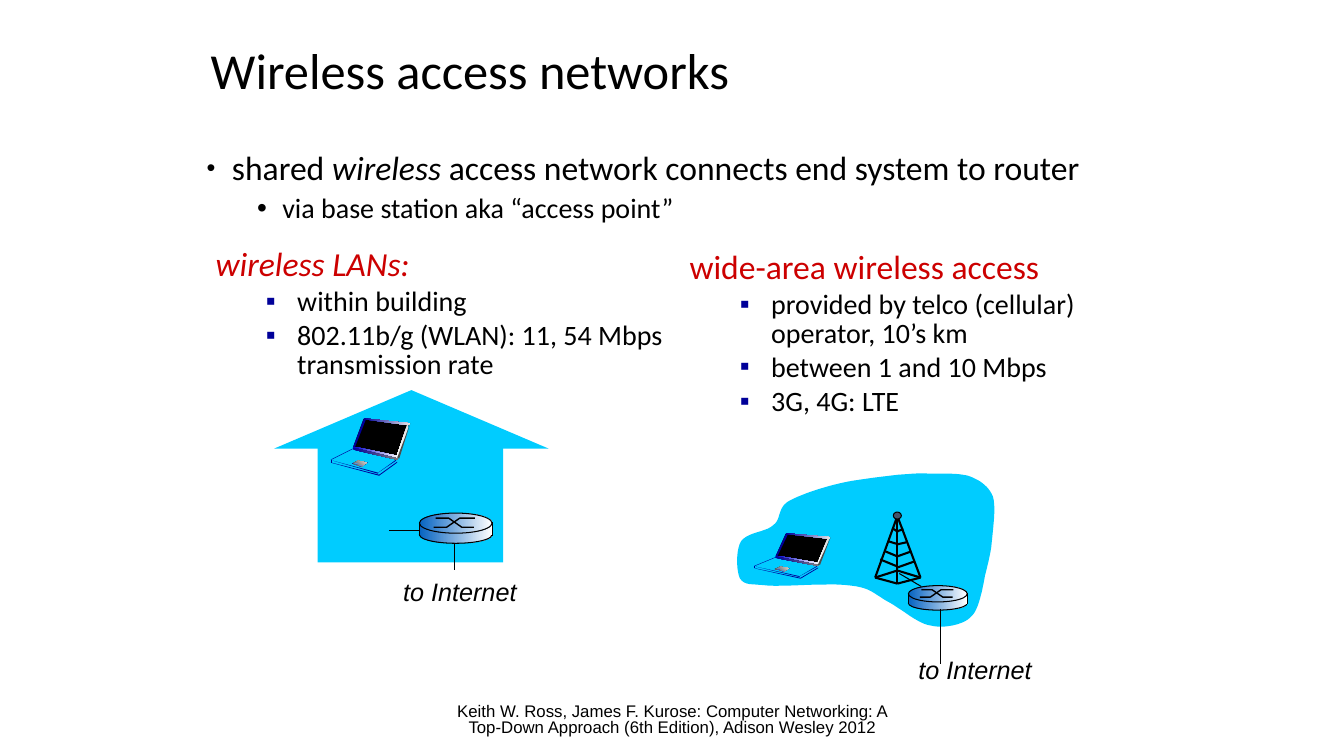
"""Build the slide on wireless access networks."""
from dataclasses import dataclass

from lxml.etree import SubElement
from pptx import Presentation
from pptx.dml.color import RGBColor
from pptx.enum.shapes import MSO_CONNECTOR as Connector, MSO_SHAPE as Preset
from pptx.enum.text import MSO_ANCHOR as Anchor, MSO_AUTO_SIZE as AutoSize, PP_ALIGN as Align
from pptx.oxml.ns import qn
from pptx.util import Emu, Pt

PX = 9144


@dataclass(frozen=True)
class Theme:
    """Colours, fonts and type sizes of the slide."""
    black: str = "000000"
    red: str = "CC0000"
    navy: str = "000099"
    sky: str = "00CCFF"
    key: str = "5B9BD5"
    edge: str = "4D4D4D"
    beacon: str = "44546A"
    metal: tuple = ("0563C1", "FFFFFF", 0)
    lid: tuple = ("000099", "EAEAEA", 0)
    frame: tuple = ("DDDDDD", "FFFFFF", 270)
    sill: tuple = ("0000CC", "FFFFFF", 0)
    hinge: tuple = ("000099", "808080", 0)
    pad: tuple = ("4D4D4D", "DDDDDD", 45)
    body_font: str = "Calibri"
    label_font: str = "Arial"
    title: int = 36
    heading: int = 24
    item: int = 20
    label: int = 18
    source: int = 12


THEME = Theme()


def write(paragraph, text, *, size, color=THEME.black, font=THEME.body_font, italic=False):
    """Add one formatted run to a paragraph."""
    run = paragraph.add_run()
    run.text = text
    run.font.size = Pt(size)
    run.font.name = font
    run.font.italic = italic
    run.font.bold = False
    run.font.color.rgb = RGBColor.from_string(color)


def space(paragraph, line, before=0, align=Align.LEFT):
    """Set the spacing and alignment of a paragraph."""
    paragraph.line_spacing = line
    paragraph.space_before = Pt(before)
    paragraph.alignment = align


def bullet(paragraph, char, left, hang, color=THEME.black, percent=100):
    """Give a paragraph a bullet with a hanging indent."""
    properties = paragraph._p.get_or_add_pPr()
    properties.set("marL", str(left * PX))
    properties.set("indent", str(-hang * PX))
    SubElement(SubElement(properties, qn("a:buClr")), qn("a:srgbClr"), val=color)
    SubElement(properties, qn("a:buSzPct"), val=str(percent * 1000))
    SubElement(properties, qn("a:buFont"), typeface=THEME.label_font)
    SubElement(properties, qn("a:buChar"), char=char)


def bezier(start, segments, steps=10):
    """Return points along a chain of cubic curves, in tenths of a px."""
    points = [start]
    for first, second, end in segments:
        for step in range(1, steps + 1):
            t = step / steps
            weights = ((1 - t) ** 3, 3 * t * (1 - t) ** 2, 3 * t * t * (1 - t), t ** 3)
            corners = (start, first, second, end)
            points.append(tuple(sum(w * c[axis] for w, c in zip(weights, corners)) for axis in (0, 1)))
        start = end
    return [(x * 10, y * 10) for x, y in points]


class Canvas:
    """Draw styled elements on one slide."""

    def __init__(self, slide, theme):
        self.slide, self.theme = slide, theme

    def place(self, shape, left, top, width, height, anchor=Anchor.TOP):
        """Move a text shape and reset its frame."""
        shape.left, shape.top, shape.width, shape.height = (
            Emu(n * PX) for n in (left, top, width, height))
        frame = shape.text_frame
        frame.word_wrap = True
        frame.auto_size = AutoSize.NONE
        frame.vertical_anchor = anchor
        return frame

    def text_box(self, *box, anchor=Anchor.TOP):
        """Add a wrapping text box and return its frame."""
        return self.place(self.slide.shapes.add_textbox(0, 0, 0, 0), *box, anchor)

    def paint(self, shape, fill, line):
        """Set the fill and outline of a shape."""
        shape.shadow.inherit = False
        if fill is None:
            shape.fill.background()
        elif isinstance(fill, tuple):
            shape.fill.gradient()
            shape.fill.gradient_angle = fill[2]
            for stop, color in zip(shape.fill.gradient_stops, fill):
                stop.color.rgb = RGBColor.from_string(color)
        else:
            shape.fill.solid()
            shape.fill.fore_color.rgb = RGBColor.from_string(fill)
        if line:
            shape.line.width = Pt(line)
            shape.line.color.rgb = RGBColor.from_string(self.theme.black)
        else:
            shape.line.fill.background()

    def preset(self, kind, *box, fill, line=0):
        """Add a preset shape."""
        self.paint(self.slide.shapes.add_shape(kind, *(Emu(round(n * PX)) for n in box)), fill, line)

    def outline(self, points, fill=None, line=0, origin=(0, 0), scale=(1, 1), close=True):
        """Add a freeform through the given points."""
        builder = self.slide.shapes.build_freeform(*points[0], scale=tuple(n * PX for n in scale))
        builder.add_line_segments(points[1:], close=close)
        self.paint(builder.convert_to_shape(*(n * PX for n in origin)), fill, line)

    def line(self, x1, y1, x2, y2, width=0.75):
        """Add a straight black line."""
        ends = (Emu(round(n * PX)) for n in (x1, y1, x2, y2))
        connector = self.slide.shapes.add_connector(Connector.STRAIGHT, *ends)
        connector.line.width = Pt(width)
        connector.line.color.rgb = RGBColor.from_string(self.theme.black)
        SubElement(connector._element.spPr, qn("a:effectLst"))

    def topic(self, box, heading, items, italic=False):
        """Add a red heading with a bulleted list."""
        frame = self.text_box(*box)
        paragraph = frame.paragraphs[0]
        space(paragraph, 0.85)
        write(paragraph, heading, size=self.theme.heading, color=self.theme.red, italic=italic)
        for item in items:
            paragraph = frame.add_paragraph()
            paragraph.level = 1
            space(paragraph, 0.85, 4)
            bullet(paragraph, "▪", 81, 31, self.theme.navy)
            write(paragraph, item, size=self.theme.item)

    def label(self, left, top):
        """Add an uplink label."""
        frame = self.text_box(left, top, 133, 40)
        frame.word_wrap = False
        write(frame.paragraphs[0], "to Internet", size=self.theme.label,
              font=self.theme.label_font, italic=True)

    def router(self, left, top, scale):
        """Draw a router with crossed arrows on its lid."""
        for kind, y, height, line in ((Preset.OVAL, 13, 17, 0.75), (Preset.RECTANGLE, 11, 11, 0),
                                      (Preset.OVAL, 0, 20, 0.75)):
            self.preset(kind, left, top + y * scale, 72 * scale, height * scale,
                        fill=self.theme.metal, line=line)
        for track in ([(14, 14), (27, 14), (40, 5), (55, 5)], [(16, 5), (29, 5), (42, 14), (54, 14)]):
            self.outline(track, line=1, origin=(left, top), scale=(scale, scale), close=False)
        for x in (left, left + 72 * scale):
            self.line(x, top + 9 * scale, x, top + 23 * scale)

    def laptop(self, left, top, scale):
        """Draw an open laptop from its panels."""
        theme = self.theme
        self.outline([(33, 1), (23, 28), (66, 39), (77, 6)], theme.black, 0.75, (left, top), scale)
        panels = (
            (theme.lid, [(33, 0), (79, 5), (78, 7), (33, 1)]),
            (theme.navy, [(33, 0), (22, 29), (24, 29), (35, 1)]),
            (theme.frame, [(78, 5), (67, 39), (65, 39), (76, 6)]),
            (theme.sill, [(23, 28), (22, 29), (67, 39), (65, 37)]),
            (theme.edge, [(79, 5), (68, 40), (66, 39)]),
            (theme.hinge, [(22, 29), (22, 31), (66, 41), (67, 40)]),
            (theme.navy, [(27, 42), (37, 44), (31, 48), (21, 45)]),
            (theme.pad, [(27, 42), (36, 44), (31, 48), (22, 45)]),
            (theme.key, [(23, 45), (24, 44), (28, 45), (26, 46)]),
            (theme.navy, [(23, 45), (27, 46), (26, 46)]),
            (theme.key, [(27, 46), (29, 46), (32, 47), (31, 48)]),
            (theme.navy, [(27, 47), (31, 48), (30, 48)]),
            (theme.navy, [(48, 56), (66, 43), (66, 44), (48, 57)]),
            (theme.navy, [(0, 44), (1, 44), (48, 56), (48, 57)]),
            (theme.navy, [(1, 41), (1, 44), (0, 44), (0, 41)]),
            (theme.navy, [(22, 30), (0, 41), (1, 41), (23, 30)]),
            (theme.navy, [(2, 42), (47, 54), (47, 55)]),
            (theme.navy, [(47, 54), (65, 42), (65, 41)]),
        )
        for fill, points in panels:
            self.outline(points, fill, origin=(left, top), scale=scale)

    def tower(self):
        """Draw the lattice mast with its beacon."""
        for strut in ((890, 512, 868, 573), (890, 512, 913, 573), (868, 573, 890, 579),
                      (913, 573, 890, 579), (890, 514, 890, 579), (868, 573, 890, 566),
                      (913, 573, 890, 566), (878, 547, 890, 552), (890, 552, 904, 547),
                      (873, 555, 890, 562), (890, 563, 907, 557), (890, 540, 899, 538),
                      (890, 527, 896, 525), (881, 537, 891, 540), (885, 524, 891, 528)):
            self.line(*strut, width=1.5)
        self.preset(Preset.OVAL, 886, 508, 8, 7, fill=self.theme.beacon, line=0.75)


def main():
    """Compose and save the slide."""
    presentation = Presentation()
    presentation.slide_width, presentation.slide_height = Emu(1333 * PX), Emu(750 * PX)
    slide = presentation.slides.add_slide(presentation.slide_layouts[1])
    canvas = Canvas(slide, THEME)

    source = canvas.text_box(442, 695, 450, 40, anchor=Anchor.MIDDLE).paragraphs[0]
    space(source, 0.8, align=Align.CENTER)
    write(source, "Keith W. Ross, James F. Kurose: Computer Networking: A Top-Down Approach "
          "(6th Edition), Adison Wesley 2012", size=THEME.source, font=THEME.label_font)
    title = canvas.place(slide.shapes.title, 199, 19, 917, 108, Anchor.MIDDLE).paragraphs[0]
    space(title, 0.9)
    write(title, "Wireless access networks", size=THEME.title)

    body = canvas.place(slide.placeholders[1], 195, 145, 915, 95)
    lead = body.paragraphs[0]
    space(lead, 0.9)
    bullet(lead, "•", 25, 25, percent=75)
    for text, italic in (("shared ", False), ("wireless", True),
                         (" access network connects end system to router", False)):
        write(lead, text, size=THEME.heading, italic=italic)
    detail = body.add_paragraph()
    detail.level = 1
    space(detail, 0.9, 5)
    bullet(detail, "•", 75, 25)
    write(detail, "via base station aka “access point”", size=THEME.item)

    canvas.topic((204, 242, 466, 150), "wireless LANs:",
                 ("within building", "802.11b/g (WLAN): 11, 54 Mbps transmission rate"), italic=True)
    canvas.topic((674, 245, 505, 241), "wide-area wireless access",
                 ("provided by telco (cellular) operator, 10’s km", "between 1 and 10 Mbps",
                  "3G, 4G: LTE"))

    canvas.preset(Preset.RECTANGLE, 315, 435, 184, 123, fill=THEME.sky)
    canvas.preset(Preset.ISOSCELES_TRIANGLE, 272, 387, 272, 58, fill=THEME.sky)
    canvas.line(451, 540, 451, 565)
    canvas.line(386, 526, 417, 526)
    canvas.router(416, 509, 1)
    canvas.laptop(328, 415, (1, 1))

    cloud = bezier((891, 471), (
        ((875, 473), (845, 476), (827, 481)), ((808, 486), (791, 492), (781, 498)),
        ((771, 505), (775, 515), (767, 521)), ((760, 528), (741, 528), (735, 537)),
        ((730, 545), (730, 566), (734, 574)), ((739, 581), (744, 579), (762, 581)),
        ((781, 582), (824, 578), (844, 581)), ((863, 583), (867, 589), (879, 596)),
        ((891, 602), (906, 615), (917, 619)), ((929, 623), (939, 622), (947, 620)),
        ((955, 618), (962, 615), (967, 607)), ((972, 598), (975, 582), (977, 571)),
        ((980, 559), (983, 548), (984, 535)), ((985, 523), (988, 504), (985, 493)),
        ((981, 483), (973, 477), (963, 473)), ((953, 469), (935, 470), (923, 470)),
        ((911, 469), (907, 470), (891, 471))))
    canvas.outline(cloud, THEME.sky, scale=(0.1, 0.1))
    canvas.line(892, 569, 914, 582)
    canvas.tower()
    canvas.laptop(748, 529, (0.96, 0.79))
    canvas.router(901, 581, 0.81)
    canvas.line(933, 604, 933, 659)
    canvas.label(390, 567)
    canvas.label(901, 644)
    presentation.save("out.pptx")


if __name__ == "__main__":
    main()
